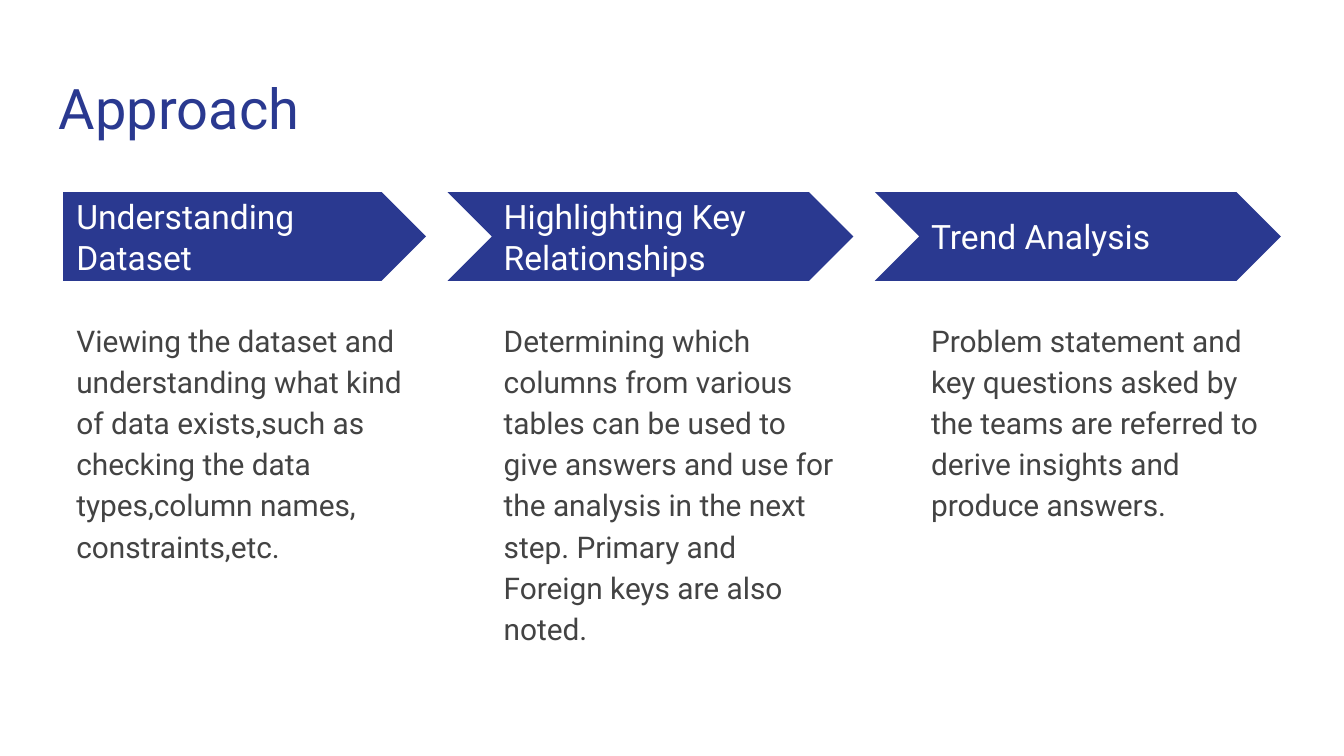
from pptx import Presentation
from pptx.dml.color import RGBColor
from pptx.enum.shapes import MSO_SHAPE
from pptx.enum.text import MSO_ANCHOR, PP_ALIGN
from pptx.util import Inches, Pt

# Content
TITLE = "Approach"
STEPS = [
    ("Understanding Dataset",
     "Viewing the dataset and understanding what kind of data exists,such as "
     "checking the data types,column names, constraints,etc."),
    ("Highlighting Key Relationships",
     "Determining which columns from various tables can be used to give answers "
     "and use for the analysis in the next step. Primary and Foreign keys are "
     "also noted."),
    ("Trend Analysis",
     "Problem statement and key questions asked by the teams are referred to "
     "derive insights and produce answers."),
]

# Style and layout, in inches
COLORS = {"navy": "2A3990", "white": "FFFFFF", "gray": "434343"}
FONT = "Roboto"
LEFT, PITCH = 0.47, 3.18
COLUMN_WIDTH, HEADING_WIDTH = 2.7, 2.47
NOTCH = 0.32  # how far a chevron starts before its column
ARROW_TOP, ARROW_HEIGHT = 1.43, 0.66
HEADING_TOP, HEADING_HEIGHT = 1.59, 0.34
BODY_TOP, BODY_HEIGHT = 2.26, 2.9


def add_text(slide, text, left, top, width, height, *, size, color,
             anchor=MSO_ANCHOR.TOP, line_spacing=1.0, space_after=0):
    box = slide.shapes.add_textbox(Inches(left), Inches(top), Inches(width), Inches(height))
    frame = box.text_frame
    frame.word_wrap = True
    frame.vertical_anchor = anchor
    frame.margin_left = frame.margin_right = Inches(0.1)
    frame.margin_top = frame.margin_bottom = Inches(0.1)
    paragraph = frame.paragraphs[0]
    paragraph.alignment = PP_ALIGN.LEFT
    paragraph.line_spacing = line_spacing
    paragraph.space_after = Pt(space_after)
    run = paragraph.add_run()
    run.text = text
    run.font.name = FONT
    run.font.size = Pt(size)
    run.font.color.rgb = RGBColor.from_string(COLORS[color])


def add_arrow(slide, kind, left, width):
    arrow = slide.shapes.add_shape(kind, Inches(left), Inches(ARROW_TOP),
                                   Inches(width), Inches(ARROW_HEIGHT))
    arrow.adjustments[0] = 0.5
    arrow.shadow.inherit = False
    arrow.fill.solid()
    arrow.fill.fore_color.rgb = RGBColor.from_string(COLORS["navy"])
    arrow.line.fill.background()


def main():
    # Widescreen slide, 16:9
    presentation = Presentation()
    presentation.slide_width = Inches(10)
    presentation.slide_height = Inches(10) * 9 // 16
    slide = presentation.slides.add_slide(presentation.slide_layouts[6])

    # Title
    add_text(slide, TITLE, 0.34, 0.45, 9.32, 0.66, size=30, color="navy")

    # One arrow, heading and description per step
    for index, (heading, description) in enumerate(STEPS):
        left = LEFT + index * PITCH
        if index == 0:
            add_arrow(slide, MSO_SHAPE.PENTAGON, left, COLUMN_WIDTH)
        else:
            add_arrow(slide, MSO_SHAPE.CHEVRON, left - NOTCH, COLUMN_WIDTH + NOTCH)
        add_text(slide, heading, left, HEADING_TOP, HEADING_WIDTH, HEADING_HEIGHT,
                 size=18, color="white", anchor=MSO_ANCHOR.MIDDLE)
        add_text(slide, description, left, BODY_TOP, COLUMN_WIDTH, BODY_HEIGHT,
                 size=16, color="gray", line_spacing=1.15, space_after=8)

    presentation.save("out.pptx")


if __name__ == "__main__":
    main()
